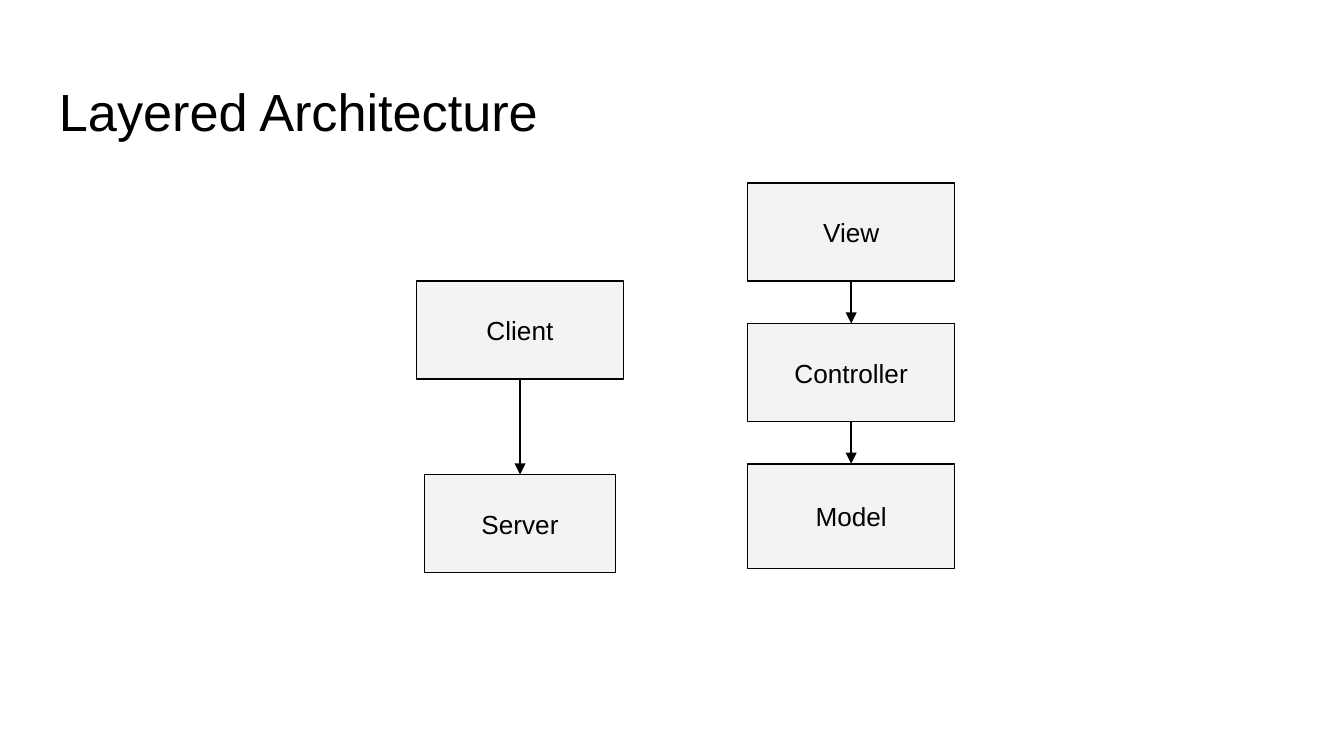
from pptx import Presentation
from pptx.dml.color import RGBColor
from pptx.enum.shapes import MSO_CONNECTOR, MSO_SHAPE
from pptx.enum.text import MSO_ANCHOR, PP_ALIGN
from pptx.util import Pt
from lxml.etree import SubElement
from pptx.oxml.ns import qn

BLACK = RGBColor(0x00, 0x00, 0x00)
GREY = RGBColor(0xF3, 0xF3, 0xF3)


def write(frame, text, size, align):
    frame.word_wrap = True
    frame.margin_left = frame.margin_right = Pt(7.2)
    frame.margin_top = frame.margin_bottom = Pt(7.2)
    para = frame.paragraphs[0]
    para.text = text
    para.alignment = align
    para.font.name = "Arial"
    para.font.size = Pt(size)
    para.font.color.rgb = BLACK


deck = Presentation()
deck.slide_width = Pt(720)
deck.slide_height = Pt(405)
slide = deck.slides.add_slide(deck.slide_layouts[6])

title = slide.shapes.add_textbox(Pt(24.5), Pt(35), Pt(671), Pt(45))
write(title.text_frame, "Layered Architecture", 28, PP_ALIGN.LEFT)

stacks = [
    (278.6, [("Client", 150.5, 111, 52.6), ("Server", 254.2, 102.6, 52.6)]),
    (456, [("View", 98, 111, 52.6), ("Controller", 173.3, 111, 52.6),
           ("Model", 248.5, 111, 56.2)]),
]

for mid, layers in stacks:
    boxes = []
    for name, top, width, height in layers:
        box = slide.shapes.add_shape(
            MSO_SHAPE.RECTANGLE, Pt(mid - width / 2), Pt(top), Pt(width), Pt(height))
        box.shadow.inherit = False
        box.fill.solid()
        box.fill.fore_color.rgb = GREY
        box.line.color.rgb = BLACK
        box.line.width = Pt(0.75)
        box.text_frame.vertical_anchor = MSO_ANCHOR.MIDDLE
        write(box.text_frame, name, 14, PP_ALIGN.CENTER)
        boxes.append(box)

    for upper, lower in zip(boxes, boxes[1:]):
        arrow = slide.shapes.add_connector(MSO_CONNECTOR.STRAIGHT, 0, 0, 0, 0)
        arrow.begin_connect(upper, 2)
        arrow.end_connect(lower, 0)
        arrow.line.color.rgb = BLACK
        arrow.line.width = Pt(0.75)
        SubElement(arrow.line._get_or_add_ln(), qn("a:tailEnd"), type="triangle")
        SubElement(arrow._element.spPr, qn("a:effectLst"))

deck.save("out.pptx")
